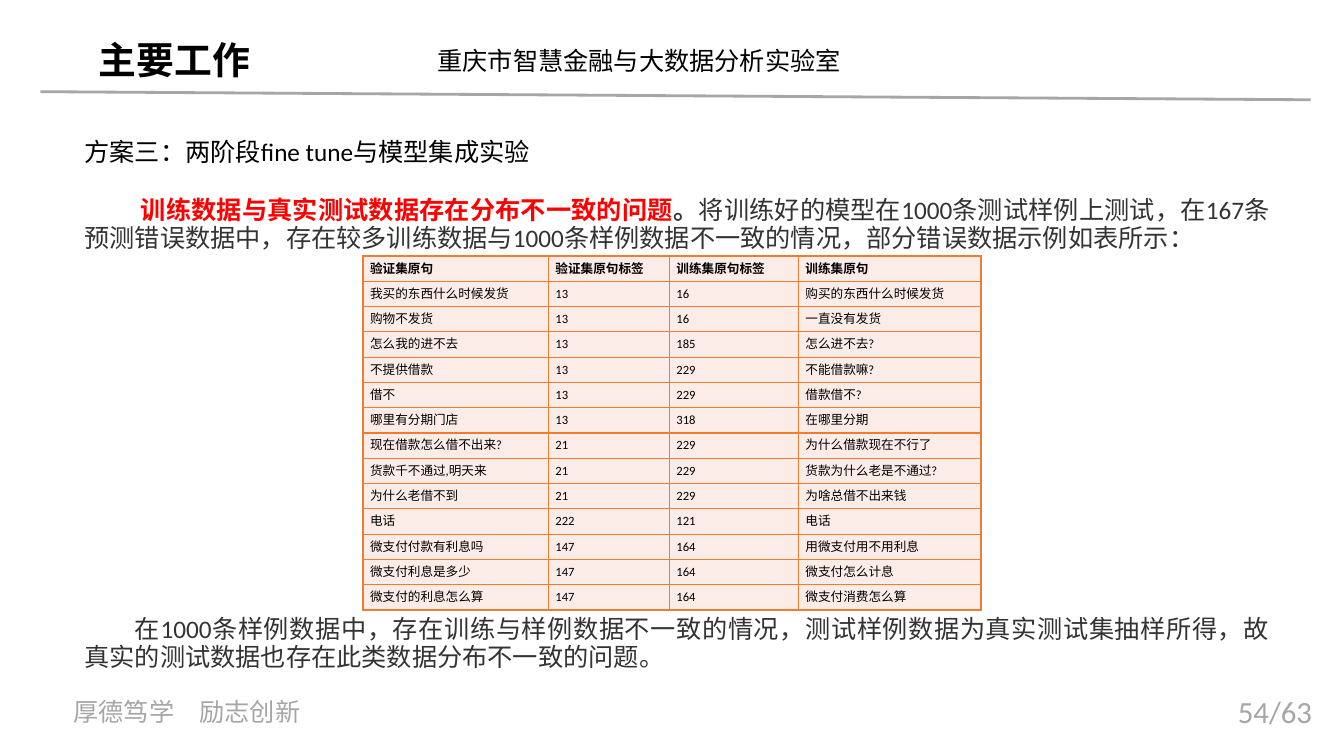
"""Build the slide on the distribution mismatch between training and test data."""
import dataclasses
import typing

import lxml.etree
import pptx
import pptx.dml.color
import pptx.enum.shapes
import pptx.enum.text
import pptx.oxml.ns
import pptx.util

SLIDE_WIDTH = pptx.util.Inches(13.33)
SLIDE_HEIGHT = pptx.util.Inches(7.5)
BLACK, BODY_GREY, PALE_GREY, RED = "000000", "333333", "A6A6A6", "FF0000"
CELL_FILL, CELL_BORDER = "FCECE8", "ED7D31"
BODY_FONT, TITLE_FONT = "Calibri", "Noto Sans CJK SC"
ALIGN = pptx.enum.text.PP_ALIGN

TABLE_LEFT, TABLE_TOP, ROW_HEIGHT = 27.01, 33.87, 3.34
COLUMN_WIDTHS = (13.8, 9, 9.6, 13.58)
TABLE_ROWS = (
    ("验证集原句", "验证集原句标签", "训练集原句标签", "训练集原句"),
    ("我买的东西什么时候发货", "13", "16", "购买的东西什么时候发货"),
    ("购物不发货", "13", "16", "一直没有发货"),
    ("怎么我的进不去", "13", "185", "怎么进不去?"),
    ("不提供借款", "13", "229", "不能借款嘛?"),
    ("借不", "13", "229", "借款借不?"),
    ("哪里有分期门店", "13", "318", "在哪里分期"),
    ("现在借款怎么借不出来?", "21", "229", "为什么借款现在不行了"),
    ("货款千不通过,明天来", "21", "229", "货款为什么老是不通过?"),
    ("为什么老借不到", "21", "229", "为啥总借不出来钱"),
    ("电话", "222", "121", "电话"),
    ("微支付付款有利息吗", "147", "164", "用微支付用不用利息"),
    ("微支付利息是多少", "147", "164", "微支付怎么计息"),
    ("微支付的利息怎么算", "147", "164", "微支付消费怎么算"),
)


@dataclasses.dataclass(frozen=True)
class Run:
    text: str
    color: str = BLACK
    size: float = 18
    bold: bool = False
    font: str = BODY_FONT


@dataclasses.dataclass(frozen=True)
class TextBlock:
    left: float
    top: float
    width: float
    height: float
    runs: tuple[Run, ...]
    align: typing.Any = ALIGN.LEFT
    indent: float = 0
    line_spacing: typing.Any = None
    wrap: bool = True


def across(percent: float) -> int:
    return round(SLIDE_WIDTH * percent / 100)


def down(percent: float) -> int:
    return round(SLIDE_HEIGHT * percent / 100)


def rgb(color: str) -> pptx.dml.color.RGBColor:
    return pptx.dml.color.RGBColor.from_string(color)


def add_text(paragraph: typing.Any, text: str, *, color: str = BLACK, size: float = 18,
             bold: bool = False, font: str = BODY_FONT) -> None:
    run = paragraph.add_run()
    run.text = text
    run.font.name = font
    run.font.size = pptx.util.Pt(size)
    run.font.bold = bold
    run.font.color.rgb = rgb(color)
    east_asian = lxml.etree.SubElement(run.font._element, pptx.oxml.ns.qn("a:ea"))
    east_asian.set("typeface", font)


def draw_block(slide: typing.Any, block: TextBlock) -> None:
    shape = slide.shapes.add_textbox(
        across(block.left), down(block.top), across(block.width), down(block.height))
    shape.text_frame.word_wrap = block.wrap
    paragraph = shape.text_frame.paragraphs[0]
    paragraph.alignment = block.align
    if block.line_spacing:
        paragraph.line_spacing = block.line_spacing
    if block.indent:
        paragraph._p.get_or_add_pPr().set("indent", str(across(block.indent)))
    for run in block.runs:
        add_text(paragraph, **dataclasses.asdict(run))


def draw_rule(slide: typing.Any) -> None:
    rule = slide.shapes.add_connector(
        pptx.enum.shapes.MSO_CONNECTOR.STRAIGHT,
        across(3), down(12.13), across(97.52), down(13.2))
    rule.line.color.rgb = rgb(PALE_GREY)
    rule.line.width = pptx.util.Pt(2)
    lxml.etree.SubElement(rule._element.spPr, pptx.oxml.ns.qn("a:effectLst"))


def add_borders(cell: typing.Any) -> None:
    properties = cell._tc.get_or_add_tcPr()
    for position, side in enumerate(("a:lnL", "a:lnR", "a:lnT", "a:lnB")):
        border = lxml.etree.Element(pptx.oxml.ns.qn(side), w=str(pptx.util.Pt(1)))
        fill = lxml.etree.SubElement(border, pptx.oxml.ns.qn("a:solidFill"))
        lxml.etree.SubElement(fill, pptx.oxml.ns.qn("a:srgbClr"), val=CELL_BORDER)
        properties.insert(position, border)


def draw_table(slide: typing.Any) -> None:
    table = slide.shapes.add_table(
        len(TABLE_ROWS), len(COLUMN_WIDTHS), across(TABLE_LEFT), down(TABLE_TOP),
        across(sum(COLUMN_WIDTHS)), down(ROW_HEIGHT * len(TABLE_ROWS))).table
    table.first_row = table.horz_banding = False
    for column, width in zip(table.columns, COLUMN_WIDTHS):
        column.width = across(width)
    for row_index, (row, texts) in enumerate(zip(table.rows, TABLE_ROWS)):
        row.height = down(ROW_HEIGHT)
        for cell, text in zip(row.cells, texts):
            cell.margin_left = cell.margin_right = pptx.util.Inches(0.07)
            cell.margin_top = cell.margin_bottom = pptx.util.Inches(0.05)
            cell.fill.solid()
            cell.fill.fore_color.rgb = rgb(CELL_FILL)
            add_borders(cell)
            paragraph = cell.text_frame.paragraphs[0]
            paragraph.alignment = ALIGN.JUSTIFY
            add_text(paragraph, text, size=9, bold=row_index == 0)


TEXT_BLOCKS = (
    TextBlock(6.6, 4.13, 12.9, 7.47,
              (Run("主要工作", size=27, bold=True, font=TITLE_FONT),), wrap=False),
    TextBlock(31.81, 5.33, 32.18, 5.33, (Run("重庆市智慧金融与大数据分析实验室"),)),
    TextBlock(5.55, 17.87, 89.65, 5.33, (Run("方案三：两阶段fine tune与模型集成实验"),),
              align=ALIGN.JUSTIFY, line_spacing=0.9),
    TextBlock(5.55, 25.33, 89.65, 8.8, (
        Run("训练数据与真实测试数据存在分布不一致的问题", RED, bold=True),
        Run("。", BODY_GREY, bold=True),
        Run("将训练好的模型在1000条测试样例上测试，在167条预测错误数据中，"
            "存在较多训练数据与1000条样例数据不一致的情况，部分错误数据示例如表所示：",
            BODY_GREY),
    ), align=ALIGN.JUSTIFY, indent=4.2, line_spacing=pptx.util.Pt(20)),
    TextBlock(5.55, 80.8, 89.65, 8.8, (
        Run("在1000条样例数据中，存在训练与样例数据不一致的情况，测试样例数据为真实测试集抽样所得，"
            "故真实的测试数据也存在此类数据分布不一致的问题。", BODY_GREY),
    ), align=ALIGN.JUSTIFY, indent=3.75, line_spacing=pptx.util.Pt(20)),
    TextBlock(4.73, 91.47, 22.43, 5.33, (Run("厚德笃学　励志创新", PALE_GREY),)),
    TextBlock(91.37, 90.93, 8.63, 6.27, (Run("54/63", PALE_GREY, 22),)),
)


def main() -> None:
    presentation = pptx.Presentation()
    presentation.slide_width = SLIDE_WIDTH
    presentation.slide_height = SLIDE_HEIGHT
    slide = presentation.slides.add_slide(presentation.slide_layouts[6])
    draw_rule(slide)
    for block in TEXT_BLOCKS:
        draw_block(slide, block)
    draw_table(slide)
    presentation.save("out.pptx")


if __name__ == "__main__":
    main()
